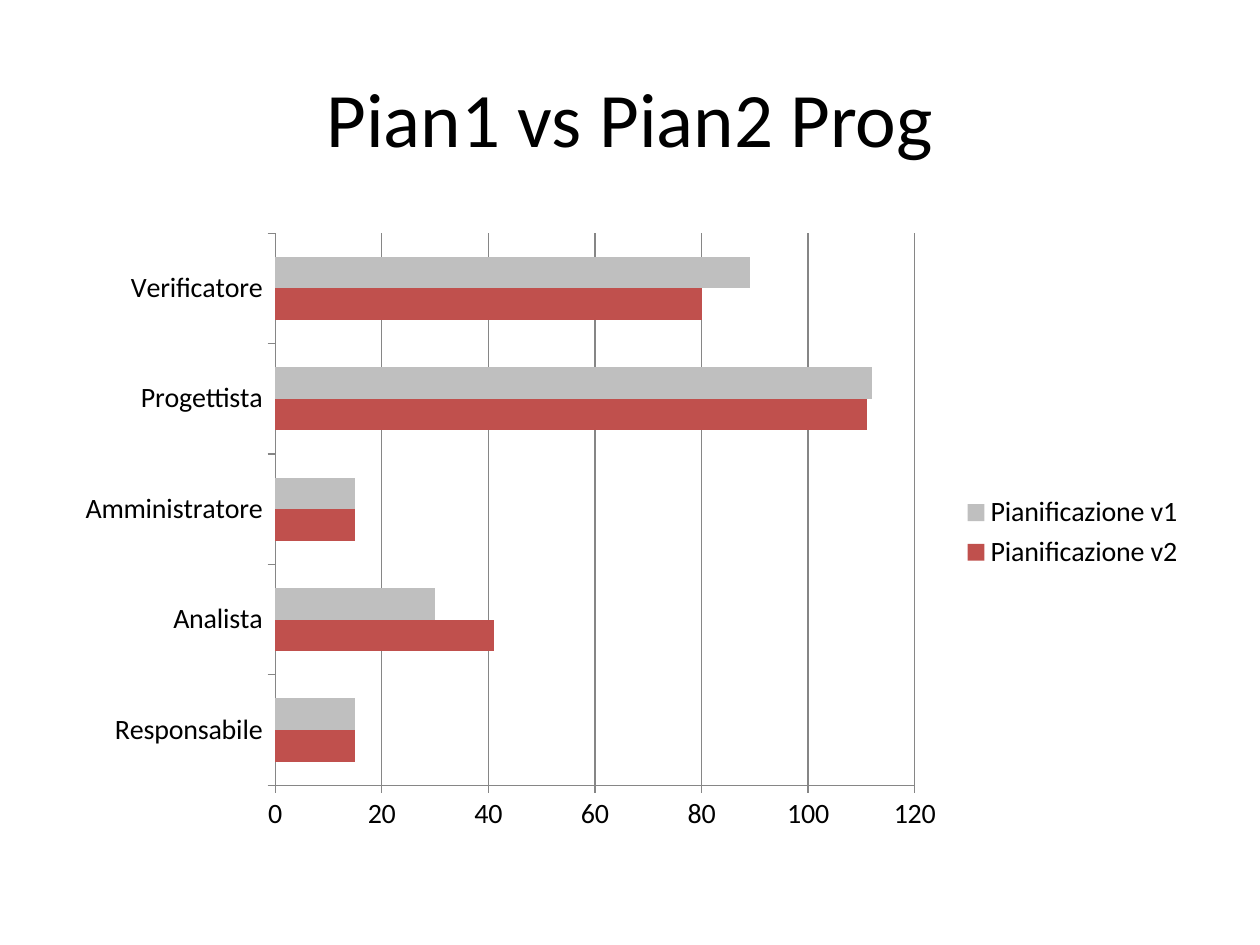
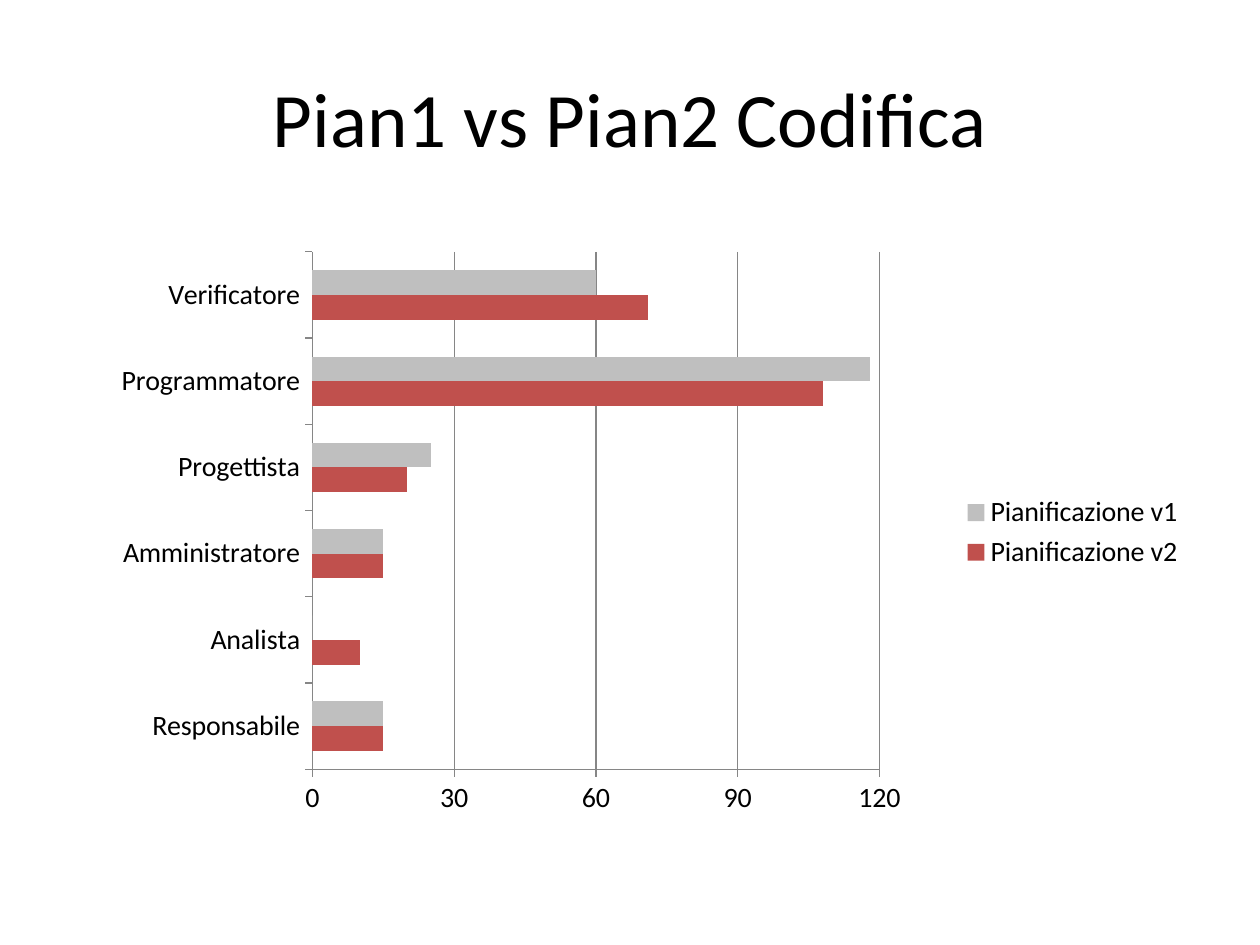
from lxml import etree
from pptx import Presentation
from pptx.chart.data import CategoryChartData
from pptx.dml.color import RGBColor
from pptx.enum.chart import XL_CHART_TYPE as ChartType, XL_LEGEND_POSITION as LegendPosition, XL_TICK_MARK as Tick
from pptx.enum.text import MSO_ANCHOR as Anchor, PP_ALIGN as Align
from pptx.oxml.ns import qn
from pptx.util import Cm, Pt

BLACK = RGBColor(0x00, 0x00, 0x00)
GRID_GRAY = RGBColor(0x86, 0x86, 0x86)
V1_GRAY = RGBColor(0xBF, 0xBF, 0xBF)
V2_RED = RGBColor(0xC0, 0x50, 0x4D)
FONT = "Calibri"
LEFT, WIDTH = Cm(1.27), Cm(22.86)

comparisons = [
    {
        "heading": "Pian1 vs Pian2 Prog",
        "hours": {
            "Responsabile": (15, 15),
            "Analista": (41, 30),
            "Amministratore": (15, 15),
            "Progettista": (111, 112),
            "Verificatore": (80, 89),
        },
        "step": 20,
        "plot": None,
    },
    {
        "heading": "Pian1 vs Pian2 Codifica",
        "hours": {
            "Responsabile": (15, 15),
            "Analista": (10, 0),
            "Amministratore": (15, 15),
            "Progettista": (20, 25),
            "Programmatore": (108, 118),
            "Verificatore": (71, 60),
        },
        "step": 30,
        "plot": {"x": 0.22, "y": 0.05, "w": 0.5, "h": 0.83},
    },
]


def write(frame, text, size=44, color=BLACK, align=Align.CENTER, anchor=Anchor.MIDDLE):
    frame.text = text
    frame.word_wrap = True
    frame.vertical_anchor = anchor
    paragraph = frame.paragraphs[0]
    paragraph.alignment = align
    font = paragraph.runs[0].font
    font.name, font.size = FONT, Pt(size)
    font.color.rgb = color


def place_plot(chart, box):
    plot_area = chart._chartSpace.chart.plotArea
    for automatic in plot_area.findall(qn("c:layout")):
        plot_area.remove(automatic)
    layout = etree.Element(qn("c:layout"))
    manual = etree.SubElement(layout, qn("c:manualLayout"))
    settings = {"layoutTarget": "inner", "xMode": "edge", "yMode": "edge", **box}
    for tag, value in settings.items():
        etree.SubElement(manual, qn(f"c:{tag}"), val=str(value))
    plot_area.insert(0, layout)


deck = Presentation()
deck.slide_width, deck.slide_height = Cm(25.4), Cm(19.05)
title_only = deck.slide_layouts[5]

for comparison in comparisons:
    slide = deck.slides.add_slide(title_only)
    heading = slide.shapes.title
    heading.left, heading.top, heading.width, heading.height = LEFT, Cm(0.76), WIDTH, Cm(3.18)
    write(heading.text_frame, comparison["heading"])

    planned = CategoryChartData()
    planned.categories = list(comparison["hours"])
    v2_hours, v1_hours = zip(*comparison["hours"].values())
    planned.add_series("Pianificazione v2", v2_hours)
    planned.add_series("Pianificazione v1", v1_hours)
    chart = slide.shapes.add_chart(
        ChartType.BAR_CLUSTERED, LEFT, Cm(4.45), WIDTH, Cm(12.57), planned
    ).chart
    chart.has_title = False
    chart.font.name, chart.font.size = FONT, Pt(16)
    chart.font.color.rgb = BLACK
    chart.has_legend = True
    chart.legend.position = LegendPosition.RIGHT
    chart.legend.include_in_layout = False

    bars = chart.plots[0]
    bars.vary_by_categories = False
    bars.gap_width, bars.overlap = 150, 0
    for version, color in zip(bars.series, (V2_RED, V1_GRAY)):
        version.format.fill.solid()
        version.format.fill.fore_color.rgb = color

    roles, hours = chart.category_axis, chart.value_axis
    hours.minimum_scale, hours.maximum_scale = 0, 120
    hours.major_unit = comparison["step"]
    hours.has_major_gridlines = True
    for axis in (roles, hours):
        axis.major_tick_mark, axis.minor_tick_mark = Tick.OUTSIDE, Tick.NONE
    for line in (roles.format.line, hours.format.line, hours.major_gridlines.format.line):
        line.color.rgb = GRID_GRAY
        line.width = Pt(0.75)
    if comparison["plot"]:
        place_plot(chart, comparison["plot"])

deck.save("out.pptx")
